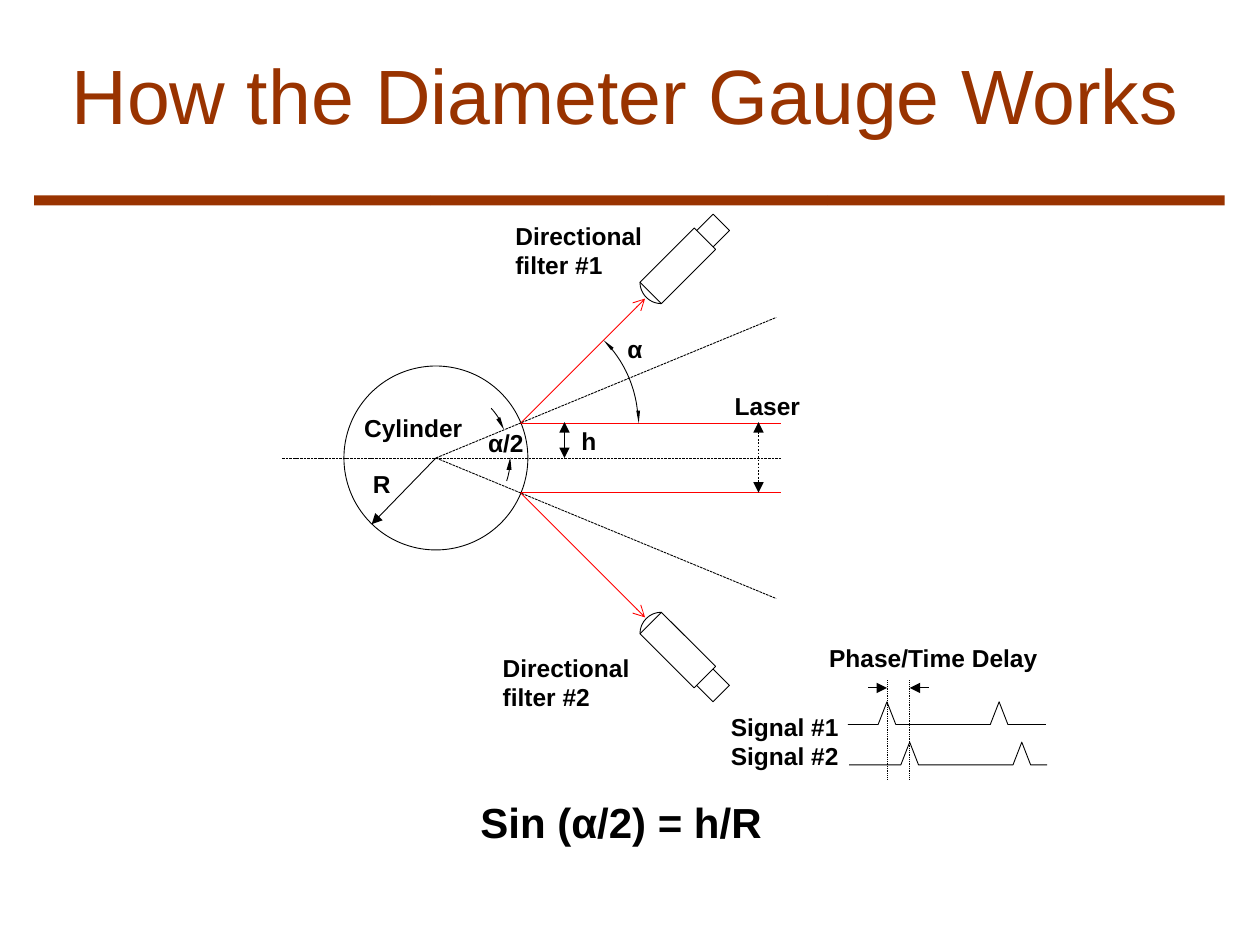
import math
from dataclasses import dataclass

import pptx
import pptx.dml.color
import pptx.enum.dml
import pptx.enum.shapes
import pptx.enum.text
import pptx.oxml.ns
import pptx.slide
import pptx.util
from lxml import etree

COLUMNS, ROWS = 10, 7.5
DOTS = pptx.enum.dml.MSO_LINE.ROUND_DOT
DASHES = pptx.enum.dml.MSO_LINE.SQUARE_DOT
LEFT = pptx.enum.text.PP_ALIGN.LEFT
CENTER = pptx.enum.text.PP_ALIGN.CENTER
TOP = pptx.enum.text.MSO_ANCHOR.TOP
MIDDLE = pptx.enum.text.MSO_ANCHOR.MIDDLE


@dataclass(frozen=True)
class Theme:
    font: str = "Arial"
    accent: str = "993300"
    ink: str = "000000"
    beam: str = "FF0000"
    title_size: float = 44
    formula_size: float = 24
    label_size: float = 14
    thin: float = 0.5
    medium: float = 1


def rgb(color):
    return pptx.dml.color.RGBColor.from_string(color)


def write_text(shape, text, *, font, size, color, bold=False, align=LEFT,
               anchor=TOP, margins=(0.01, 0.01), space_before=0):
    frame = shape.text_frame
    frame.text = text
    frame.word_wrap = True
    frame.auto_size = pptx.enum.text.MSO_AUTO_SIZE.NONE
    frame.vertical_anchor = anchor
    frame.margin_left = frame.margin_right = pptx.util.Inches(margins[0])
    frame.margin_top = frame.margin_bottom = pptx.util.Inches(margins[1])
    for paragraph in frame.paragraphs:
        paragraph.alignment = align
        paragraph.space_before = pptx.util.Pt(space_before)
        for run in paragraph.runs:
            run.font.name = font
            run.font.size = pptx.util.Pt(size)
            run.font.bold = bold
            run.font.color.rgb = rgb(color)


def arc(center, radius, start, end, steps=16):
    angles = [math.radians(start + (end - start) * i / steps) for i in range(steps + 1)]
    return [(center[0] + radius * math.cos(a), center[1] - radius * math.sin(a))
            for a in angles]


@dataclass
class Board:
    theme: Theme
    slide: pptx.slide.Slide
    width: int
    height: int

    def place(self, column, row):
        return round(column * self.width / COLUMNS), round(row * self.height / ROWS)

    def box(self, left, top, width, height):
        return *self.place(left, top), *self.place(width, height)

    def title(self, text, *box):
        shape = self.slide.shapes.title
        shape.left, shape.top, shape.width, shape.height = self.box(*box)
        write_text(shape, text, font=self.theme.font, size=self.theme.title_size,
                   color=self.theme.accent, align=CENTER, anchor=MIDDLE,
                   margins=(0.1, 0.05))

    def label(self, text, *box, size=None, **text_format):
        shape = self.slide.shapes.add_textbox(*self.box(*box))
        write_text(shape, text, font=self.theme.font, size=size or self.theme.label_size,
                   color=self.theme.ink, bold=True, **text_format)

    def stroke(self, shape, color=None, width=None, dash=None):
        shape.line.color.rgb = rgb(color or self.theme.ink)
        shape.line.width = pptx.util.Pt(width or self.theme.thin)
        if dash:
            shape.line.dash_style = dash

    def bar(self, *box):
        shape = self.slide.shapes.add_shape(
            pptx.enum.shapes.MSO_SHAPE.RECTANGLE, *self.box(*box))
        shape.shadow.inherit = False
        shape.fill.solid()
        shape.fill.fore_color.rgb = rgb(self.theme.accent)
        shape.line.fill.background()

    def circle(self, center, radius):
        shape = self.slide.shapes.add_shape(
            pptx.enum.shapes.MSO_SHAPE.OVAL,
            *self.box(center[0] - radius, center[1] - radius, 2 * radius, 2 * radius))
        shape.shadow.inherit = False
        shape.fill.background()
        self.stroke(shape)

    def line(self, start, end, head=None, tail=None, **line_format):
        connector = self.slide.shapes.add_connector(
            pptx.enum.shapes.MSO_CONNECTOR.STRAIGHT, *self.place(*start), *self.place(*end))
        self.stroke(connector, **line_format)
        properties = connector.element.spPr
        outline = properties.find(pptx.oxml.ns.qn("a:ln"))
        for tag, kind in (("a:headEnd", head), ("a:tailEnd", tail)):
            if kind:
                etree.SubElement(outline, pptx.oxml.ns.qn(tag), type=kind)
        etree.SubElement(properties, pptx.oxml.ns.qn("a:effectLst"))

    def outline(self, points, closed=False, filled=False):
        places = [self.place(*point) for point in points]
        builder = self.slide.shapes.build_freeform(*places[0])
        builder.add_line_segments(places[1:], close=closed)
        shape = builder.convert_to_shape()
        shape.shadow.inherit = False
        if filled:
            shape.fill.solid()
            shape.fill.fore_color.rgb = rgb(self.theme.ink)
            shape.line.fill.background()
        else:
            shape.fill.background()
            self.stroke(shape)

    def signal(self, start, end, base, peaks):
        points = [(start, base)]
        for peak in peaks:
            points += [(peak - 0.07, base), (peak, base - 0.18), (peak + 0.07, base)]
        self.outline(points + [(end, base)])


def draw_gauge(board):
    theme = board.theme
    axis = 3.635
    center = (3.46, axis)
    upper_hit = (4.13, 3.36)

    board.circle(center, 0.73)
    board.line((2.24, axis), (6.2, axis), dash=DASHES)
    for mirrored in (False, True):
        def side(*points):
            return [(x, 2 * axis - y if mirrored else y) for x, y in points]

        hit, laser_end, filter_tip, normal_end = side(
            upper_hit, (6.2, 3.36), (5.12, 2.37), (6.16, 2.52))
        board.line(hit, laser_end, color=theme.beam)
        board.line(hit, filter_tip, color=theme.beam, tail="arrow")
        board.line(center, normal_end, dash=DASHES)
        board.outline(side((5.08, 2.24), (5.51, 1.81), (5.68, 1.98), (5.25, 2.41)),
                      closed=True)
        board.outline(side((5.53, 1.83), (5.66, 1.7), (5.79, 1.83), (5.66, 1.96)))
        board.outline(side(*arc((5.25, 2.24), 0.17, 180, 270)))

    board.outline(arc(upper_hit, 0.935, 6, 39))
    board.outline(arc(center, 0.59, 32, 42))
    board.outline(arc(center, 0.59, -18, -9))
    for arrowhead in (
        [(5.08, 3.26), (5.05, 3.26), (5.07, 3.36)],
        [(4.85, 2.78), (4.87, 2.76), (4.79, 2.7)],
        [(4.02, 3.73), (4.06, 3.73), (4.05, 3.63)],
        [(3.97, 3.31), (3.94, 3.33), (4, 3.41)],
    ):
        board.outline(arrowhead, closed=True, filled=True)

    board.line(center, (2.95, 4.16), tail="triangle")
    board.line((4.48, 3.35), (4.48, axis), head="triangle", tail="triangle")
    board.line((6.02, 3.35), (6.02, 3.91), head="triangle", tail="triangle",
               width=theme.medium, dash=DOTS)

    board.label("Directional\nfilter #1", 4.08, 1.74, 1.19, 0.48)
    board.label("Directional\nfilter #2", 3.98, 5.17, 1.17, 0.48)
    board.label("Cylinder", 2.88, 3.27, 0.91, 0.26)
    board.label("Laser", 5.82, 3.09, 0.68, 0.24)
    board.label("α/2", 3.85, 3.39, 0.33, 0.3, align=CENTER)
    board.label("α", 4.89, 2.64, 0.3, 0.3, align=CENTER)
    board.label("h", 4.56, 3.37, 0.23, 0.28, align=CENTER)
    board.label("R", 2.9, 3.71, 0.26, 0.28, align=CENTER)


def draw_signals(board):
    first, second, period = 7.04, 7.22, 0.89
    board.label("Phase/Time Delay", 6.57, 5.09, 1.81, 0.31)
    board.label("Signal #1\nSignal #2", 5.79, 5.64, 1.02, 0.47)
    board.signal(6.73, 8.3, 5.75, (first, first + period))
    board.signal(6.74, 8.31, 6.07, (second, second + period))
    for peak, offset in ((first, -0.15), (second, 0.15)):
        board.line((peak, 5.4), (peak, 6.19), dash=DOTS)
        board.line((peak, 5.46), (peak + offset, 5.46), head="triangle")


def main():
    presentation = pptx.Presentation()
    presentation.slide_width = pptx.util.Inches(10)
    presentation.slide_height = pptx.util.Inches(7.5)
    slide = presentation.slides.add_slide(presentation.slide_layouts.get_by_name("Title Only"))
    board = Board(Theme(), slide, presentation.slide_width, presentation.slide_height)

    for index in range(3):
        board.bar(0.27 + 3.15 * index, 1.55, 3.15, 0.08)
    board.title("How the Diameter Gauge Works", 0.35, 0.28, 9.23, 0.93)
    draw_gauge(board)
    draw_signals(board)
    board.label("Sin (α/2) = h/R", 0.43, 6.27, 9, 0.55, size=board.theme.formula_size,
                align=CENTER, margins=(0.1, 0.05), space_before=6)
    presentation.save("out.pptx")


if __name__ == "__main__":
    main()
